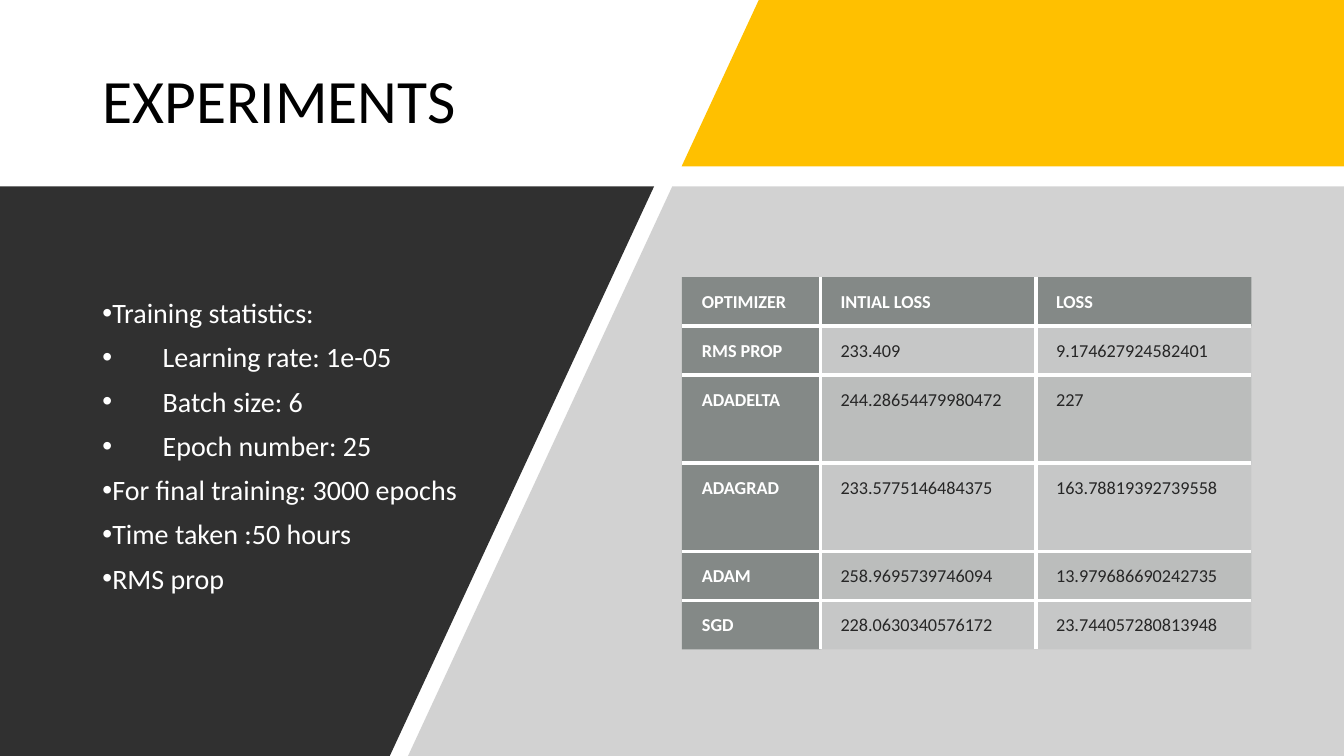
from collections import namedtuple
from dataclasses import dataclass

from lxml import etree
from pptx import Presentation
from pptx.dml.color import RGBColor
from pptx.enum import text as t
from pptx.oxml.ns import qn
from pptx.util import Pt

Box = namedtuple("Box", "x y w h")


@dataclass(frozen=True)
class Theme:
    font: str = "Calibri"
    white: str = "FFFFFF"
    black: str = "000000"
    ink: str = "262626"
    gold: str = "FFC000"
    dark: str = "303030"
    gray: str = "A6A6A6"
    head: str = "636B68"
    cell: str = "878E8B"
    title: int = 44
    body: int = 20
    small: int = 13


LOOK = Theme()
WIDE, HIGH = 960, 540
TOP, LOW = 118.8, 133.2  # bottom of the gold band, top of the lower panels
GAP = 13

ITEMS = [
    (0, "Training statistics:"),
    (1, "Learning rate: 1e-05"),
    (1, "Batch size: 6"),
    (1, "Epoch number: 25"),
    (0, "For final training: 3000 epochs"),
    (0, "Time taken :50 hours"),
    (0, "RMS prop"),
]
ROWS = [
    ("OPTIMIZER", "INTIAL LOSS", "LOSS"),
    ("RMS PROP", "233.409", "9.174627924582401"),
    ("ADADELTA", "244.28654479980472", "227"),
    ("ADAGRAD", "233.5775146484375", "163.78819392739558"),
    ("ADAM", "258.9695739746094", "13.979686690242735"),
    ("SGD", "228.0630340576172", "23.744057280813948"),
]
COLS = (99, 154, 154)
TALL = (35, 35, 63, 63, 35, 35)


def edge(y):
    """Return x of the slanted line that cuts the slide at height y."""
    return 542 - 0.464 * y


def paint(fill, color, alpha=100):
    fill.solid()
    fill.fore_color.rgb = RGBColor.from_string(color)
    if alpha < 100:
        tint = fill.fore_color._xFill.find(qn("a:srgbClr"))
        etree.SubElement(tint, qn("a:alpha"), val=str(alpha * 1000))


def style(font, size, color, bold=False):
    font.name, font.size, font.bold = LOOK.font, Pt(size), bold
    font.color.rgb = RGBColor.from_string(color)


def place(shape, box):
    """Put a placeholder in the box, in front of the panels."""
    shape.left, shape.top, shape.width, shape.height = map(Pt, box)
    shape.element.getparent().append(shape.element)
    frame = shape.text_frame
    frame.word_wrap = True
    frame.auto_size = t.MSO_AUTO_SIZE.NONE
    frame.vertical_anchor = t.MSO_ANCHOR.MIDDLE
    return frame


def panel(slide, points, color, alpha=100):
    first, *rest = [(Pt(x), Pt(y)) for x, y in points]
    path = slide.shapes.build_freeform(*first)
    path.add_line_segments(rest)
    shape = path.convert_to_shape()
    shape.shadow.inherit = False
    shape.line.fill.background()
    paint(shape.fill, color, alpha)


def panels(slide, box):
    """Cut the box into three panels along one slanted line."""
    right, base = box.x + box.w, box.y + box.h
    panel(slide, [(edge(box.y), box.y), (right, box.y), (right, TOP),
                  (edge(TOP), TOP)], LOOK.gold)
    panel(slide, [(edge(LOW), LOW), (right, LOW), (right, base),
                  (edge(base), base)], LOOK.gray, 50)
    panel(slide, [(box.x, LOW), (edge(LOW) - GAP, LOW),
                  (edge(base) - GAP, base), (box.x, base)], LOOK.dark)


def heading(slide, box):
    frame = place(slide.shapes.title, box)
    frame.text = "EXPERIMENTS"
    para = frame.paragraphs[0]
    para.alignment, para.line_spacing = t.PP_ALIGN.LEFT, 0.9
    style(para.font, LOOK.title, LOOK.black)


def points(slide, box):
    frame = place(slide.placeholders[1], box)
    frame.text = "\n".join(words for _, words in ITEMS)
    for i, (para, (level, _)) in enumerate(zip(frame.paragraphs, ITEMS)):
        inset = Pt(43 * level)
        para.line_spacing, para.space_before = 0.9, Pt(10 if i else 0)
        props = para._p.get_or_add_pPr()
        props.set("marL", str(inset))
        props.set("indent", str(-inset))
        etree.SubElement(props, qn("a:buChar"), char="•")
        style(para.font, LOOK.body, LOOK.white)


def rule(cell, sides):
    """Draw white lines on the named sides and none on the others."""
    props = cell._tc.get_or_add_tcPr()
    for i, side in enumerate("LRTB"):
        line = etree.Element(qn("a:ln" + side), w=str(Pt(3)))
        if side in sides:
            fill = etree.SubElement(line, qn("a:solidFill"))
            etree.SubElement(fill, qn("a:srgbClr"), val=LOOK.white)
        else:
            etree.SubElement(line, qn("a:noFill"))
        props.insert(i, line)


def losses(slide, box):
    count, wide = len(ROWS), len(COLS)
    grid = slide.shapes.add_table(count, wide, *map(Pt, box)).table
    for col, size in zip(grid.columns, COLS):
        col.width = Pt(size)
    for r, (row, size) in enumerate(zip(ROWS, TALL)):
        grid.rows[r].height = Pt(size)
        for c, words in enumerate(row):
            cell = grid.cell(r, c)
            cell.text = words
            cell.margin_left = Pt(14.4)
            cell.margin_right = cell.margin_top = cell.margin_bottom = Pt(8.6)
            para = cell.text_frame.paragraphs[0]
            para.line_spacing = 1.07
            if r == 0 or c == 0:
                paint(cell.fill, LOOK.head, 70)
                style(para.font, LOOK.small, LOOK.white, True)
            else:
                paint(cell.fill, LOOK.cell, 15 if r % 2 else 30)
                style(para.font, LOOK.small, LOOK.ink)
            inner = zip("LRTB", (c > 0, c < wide - 1, r > 0, r < count - 1))
            rule(cell, [side for side, shown in inner if shown])


def main():
    deck = Presentation()
    deck.slide_width, deck.slide_height = Pt(WIDE), Pt(HIGH)
    slide = deck.slides.add_slide(deck.slide_layouts[1])
    panels(slide, Box(0, 0, WIDE, HIGH))
    heading(slide, Box(66, 29, 420, 90))
    points(slide, Box(66, 176, 284, 287))
    losses(slide, Box(487, 198, sum(COLS), sum(TALL)))
    deck.save("out.pptx")


if __name__ == "__main__":
    main()
